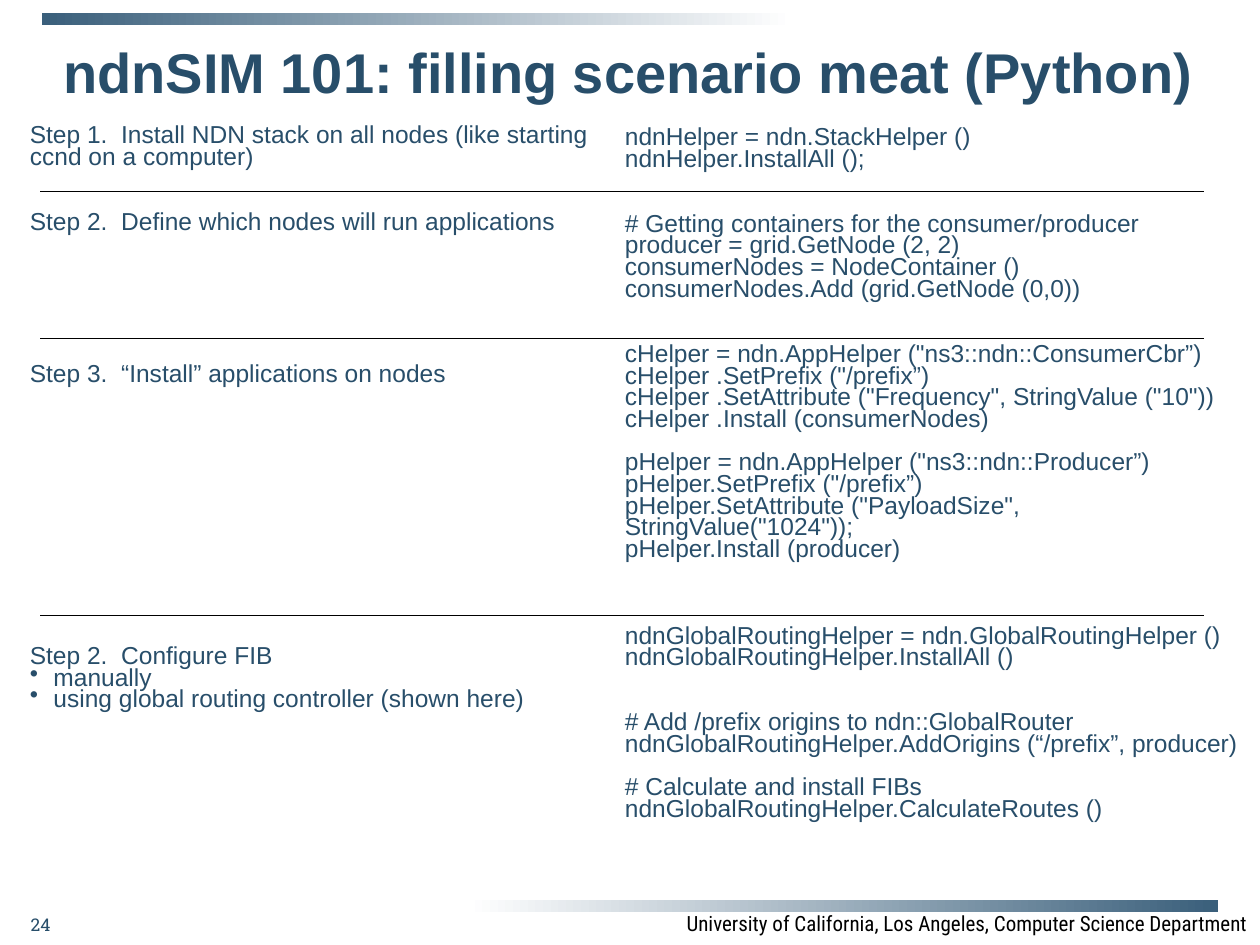
"""Build the ndnSIM scenario slide with steps on the left and code on the right."""
import pptx
import pptx.dml.color
import pptx.enum.shapes
import pptx.enum.text
import pptx.oxml
import pptx.oxml.ns
import pptx.util

Pt = pptx.util.Pt
ALIGN = pptx.enum.text.PP_ALIGN
ANCHOR = pptx.enum.text.MSO_ANCHOR
NAVY = "284E6A"
LINE_PITCH = 12.4
BULLET_INDENT = 13.5

# Each block is (empty lines above, lines of text).
STEPS = [
    (0, ["Step 1.  Install NDN stack on all nodes (like starting ccnd on a computer)"]),
    (2, ["Step 2.  Define which nodes will run applications"]),
    (6, ["Step 3.  “Install” applications on nodes"]),
    (12, ["Step 2.  Configure FIB"]),
]
FIB_OPTIONS = [(0, ["manually", "using global routing controller (shown here)"])]
CODE = [
    (0, ["ndnHelper = ndn.StackHelper ()",
         "ndnHelper.InstallAll ();"]),
    (2, ["# Getting containers for the consumer/producer",
         "producer = grid.GetNode (2, 2)",
         "consumerNodes = NodeContainer ()",
         "consumerNodes.Add (grid.GetNode (0,0))"]),
    (2, ['cHelper = ndn.AppHelper ("ns3::ndn::ConsumerCbr”)',
         'cHelper .SetPrefix ("/prefix”)',
         'cHelper .SetAttribute ("Frequency", StringValue ("10"))',
         "cHelper .Install (consumerNodes)"]),
    (1, ['pHelper = ndn.AppHelper ("ns3::ndn::Producer”)',
         'pHelper.SetPrefix ("/prefix”)',
         'pHelper.SetAttribute ("PayloadSize", StringValue("1024"));',
         "pHelper.Install (producer)"]),
    (3, ["ndnGlobalRoutingHelper = ndn.GlobalRoutingHelper ()",
         "ndnGlobalRoutingHelper.InstallAll ()"]),
    (2, ["# Add /prefix origins to ndn::GlobalRouter",
         "ndnGlobalRoutingHelper.AddOrigins (“/prefix”, producer)"]),
    (1, ["# Calculate and install FIBs",
         "ndnGlobalRoutingHelper.CalculateRoutes ()"]),
]


def color(value):
    """Turn a hex string into a colour."""
    return pptx.dml.color.RGBColor.from_string(value)


def add_frame(slide, left, top, width, height, anchor=ANCHOR.TOP):
    """Add a wrapping text box and return its text frame."""
    box = slide.shapes.add_textbox(Pt(left), Pt(top), Pt(width), Pt(height))
    frame = box.text_frame
    frame.word_wrap = True
    frame.vertical_anchor = anchor
    return frame


def add_span(para, text, size, font="Arial", fill=NAVY, bold=False):
    """Add one styled run to a paragraph."""
    span = para.add_run()
    span.text = text
    span.font.size = Pt(size)
    span.font.name = font
    span.font.bold = bold
    span.font.color.rgb = color(fill)


def add_label(slide, place, text, size, align, **style):
    """Add a single line of text centred vertically in its box."""
    para = add_frame(slide, *place, anchor=ANCHOR.MIDDLE).paragraphs[0]
    para.alignment = align
    add_span(para, text, size, **style)


def add_bullet(para):
    """Give a paragraph a hanging round bullet."""
    properties = para._p.get_or_add_pPr()
    properties.set("marL", str(Pt(BULLET_INDENT)))
    properties.set("indent", str(-Pt(BULLET_INDENT)))
    bullet = pptx.oxml.parse_xml(
        f'<a:buChar {pptx.oxml.ns.nsdecls("a")} char="•"/>')
    properties.append(bullet)


def add_blocks(frame, blocks, bulleted=False):
    """Add blocks of tightly spaced lines, with gaps counted in lines."""
    for gap, lines in blocks:
        for index, text in enumerate(lines):
            first = frame.paragraphs[0]
            para = frame.add_paragraph() if first.runs else first
            if bulleted:
                add_bullet(para)
            para.line_spacing = Pt(LINE_PITCH)
            if gap and index == 0:
                para.space_before = Pt(gap * LINE_PITCH)
            add_span(para, text, 14)


def add_fading_bar(slide, left, top, angle):
    """Add a thin bar that fades from blue to white along the angle."""
    bar = slide.shapes.add_shape(
        pptx.enum.shapes.MSO_SHAPE.RECTANGLE, Pt(left), Pt(top), Pt(660), Pt(6.75))
    bar.shadow.inherit = False
    bar.line.fill.background()
    bar.fill.gradient()
    bar.fill.gradient_angle = angle
    stops = zip(bar.fill.gradient_stops, ("3A5F7B", "FFFFFF"), (0, 0.65))
    for stop, value, position in stops:
        stop.color.rgb = color(value)
        stop.position = position


def add_divider(slide, top):
    """Add a thin black line across the slide."""
    line = slide.shapes.add_connector(
        pptx.enum.shapes.MSO_CONNECTOR.STRAIGHT, Pt(23), Pt(top), Pt(688), Pt(top))
    line.line.width = Pt(0.5)
    line.line.color.rgb = color("000000")
    line._element.spPr.append(
        pptx.oxml.parse_xml(f'<a:effectLst {pptx.oxml.ns.nsdecls("a")}/>'))


def main():
    """Build and save the slide."""
    deck = pptx.Presentation()
    deck.slide_width, deck.slide_height = Pt(720), Pt(540)
    page = deck.slides.add_slide(deck.slide_layouts[6])

    add_fading_bar(page, 36, 514.5, 180)
    add_fading_bar(page, 24, 7.75, 0)
    add_label(page, (114.5, 516.5, 605.5, 21.5),
              "University of California, Los Angeles, Computer Science Department",
              12, ALIGN.RIGHT, font="Roboto Condensed", fill="000000")
    add_label(page, (10, 14, 698.5, 53.5),
              "ndnSIM 101: filling scenario meat (Python)", 32, ALIGN.CENTER, bold=True)

    add_blocks(add_frame(page, 350, 70, 370, 430.5), CODE)
    add_label(page, (10.5, 514, 42, 29), "24", 10, ALIGN.LEFT, font="Roboto Slab")
    steps = add_frame(page, 10, 69, 340, 430.5)
    add_blocks(steps, STEPS)
    add_blocks(steps, FIB_OPTIONS, bulleted=True)

    for top in (109.5, 193.5, 351.5):
        add_divider(page, top)
    deck.save("out.pptx")


if __name__ == "__main__":
    main()
